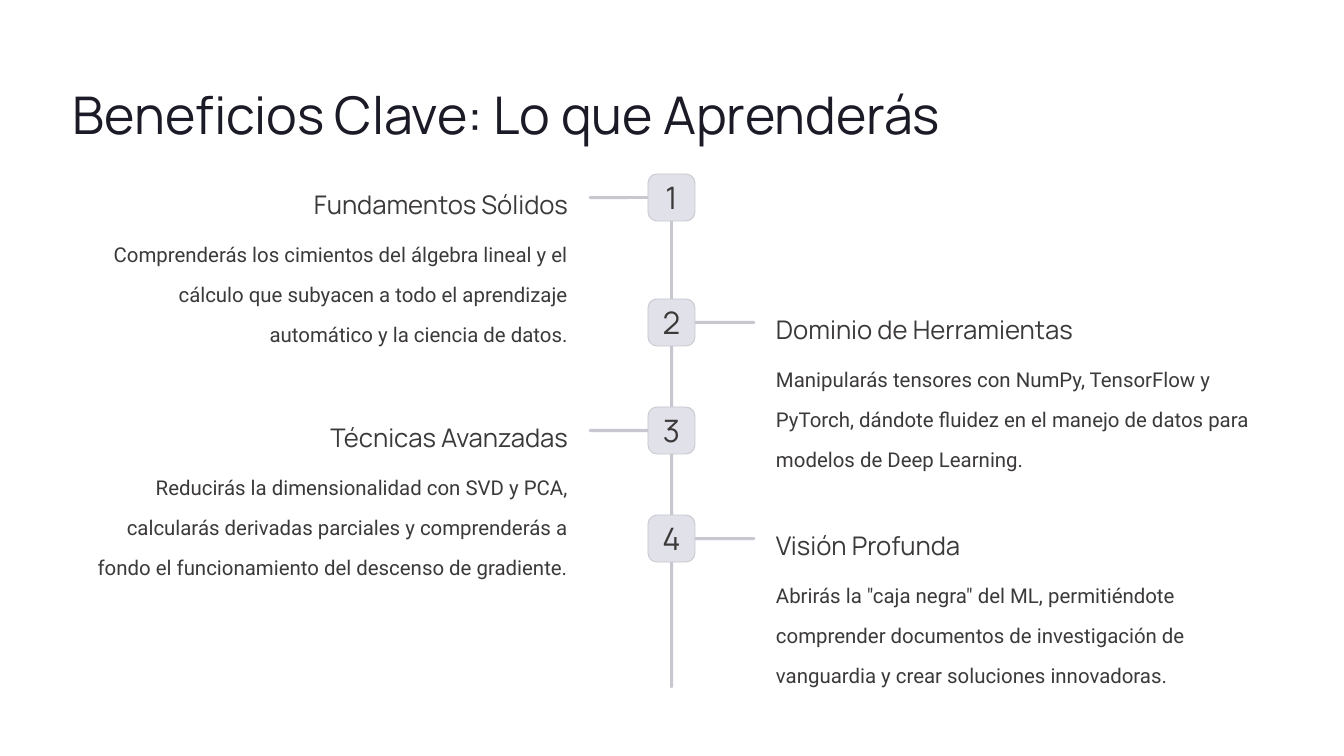
import pptx
import pptx.dml.color
import pptx.enum.shapes
import pptx.enum.text
import pptx.util

PX = pptx.util.Inches(1) / 84
COLORS = {"title": "1B1B27", "text": "3C3939", "line": "C7C7D0", "badge": "E1E1EA"}
ALIGN = pptx.enum.text.PP_ALIGN
ANCHOR = pptx.enum.text.MSO_ANCHOR


def write(shape, text, font, size, color, align, spacing, anchor=ANCHOR.TOP):
    frame = shape.text_frame
    frame.word_wrap = True
    frame.auto_size = pptx.enum.text.MSO_AUTO_SIZE.NONE
    frame.vertical_anchor = anchor
    frame.margin_left = frame.margin_right = frame.margin_top = frame.margin_bottom = 0
    frame.text = text
    paragraph = frame.paragraphs[0]
    paragraph.alignment = align
    paragraph.line_spacing = spacing
    paragraph.font.name = font
    paragraph.font.size = pptx.util.Pt(size)
    paragraph.font.color.rgb = pptx.dml.color.RGBColor.from_string(COLORS[color])


def rounded(box, fill, radius):
    shape = slide.shapes.add_shape(
        pptx.enum.shapes.MSO_SHAPE.ROUNDED_RECTANGLE, *[round(v * PX) for v in box])
    shape.adjustments[0] = radius
    shape.shadow.inherit = False
    shape.fill.solid()
    shape.fill.fore_color.rgb = pptx.dml.color.RGBColor.from_string(COLORS[fill])
    shape.line.fill.background()
    return shape


deck = pptx.Presentation()
deck.slide_width = round(1344 * PX)
deck.slide_height = round(756 * PX)
slide = deck.slides.add_slide(deck.slide_layouts[5])

# Title
title = slide.shapes.title
title.left, title.top, title.width, title.height = [round(v * PX) for v in (73, 67, 881, 66)]
write(title, "Beneficios Clave: Lo que Aprenderás", "Manrope", 44.5, "title", ALIGN.LEFT, 1.25)

# Timeline spine
rounded((670, 174, 3, 514), "line", 0.5)

# Benefits, alternating left and right of the spine
benefits = [
    (174, "Fundamentos Sólidos",
     "Comprenderás los cimientos del álgebra lineal y el cálculo que subyacen a todo "
     "el aprendizaje automático y la ciencia de datos."),
    (299, "Dominio de Herramientas",
     "Manipularás tensores con NumPy, TensorFlow y PyTorch, dándote fluidez en el "
     "manejo de datos para modelos de Deep Learning."),
    (407, "Técnicas Avanzadas",
     "Reducirás la dimensionalidad con SVD y PCA, calcularás derivadas parciales y "
     "comprenderás a fondo el funcionamiento del descenso de gradiente."),
    (515, "Visión Profunda",
     'Abrirás la "caja negra" del ML, permitiéndote comprender documentos de '
     "investigación de vanguardia y crear soluciones innovadoras."),
]
sides = [(589, 73, ALIGN.RIGHT), (693, 776, ALIGN.LEFT)]

for number, (top, heading, description) in enumerate(benefits, 1):
    branch_left, text_left, align = sides[(number - 1) % 2]

    # Branch and numbered badge
    rounded((branch_left, top + 22, 62, 3), "line", 0.5)
    badge = rounded((648, top, 47, 47), "badge", 0.19)
    badge.line.color.rgb = pptx.dml.color.RGBColor.from_string(COLORS["line"])
    badge.line.width = pptx.util.Pt(0.75)
    write(badge, str(number), "Manrope", 26.5, "text", ALIGN.CENTER, 1, ANCHOR.MIDDLE)

    # Heading and description
    for text, offset, height, font, size, spacing in [
        (heading, 7, 33, "Manrope", 22, 1.25),
        (description, 53, 100, "Roboto", 17.5, 1.63),
    ]:
        box = slide.shapes.add_textbox(
            *[round(v * PX) for v in (text_left, top + offset, 495, height)])
        write(box, text, font, size, "text", align, spacing)

deck.save("out.pptx")
